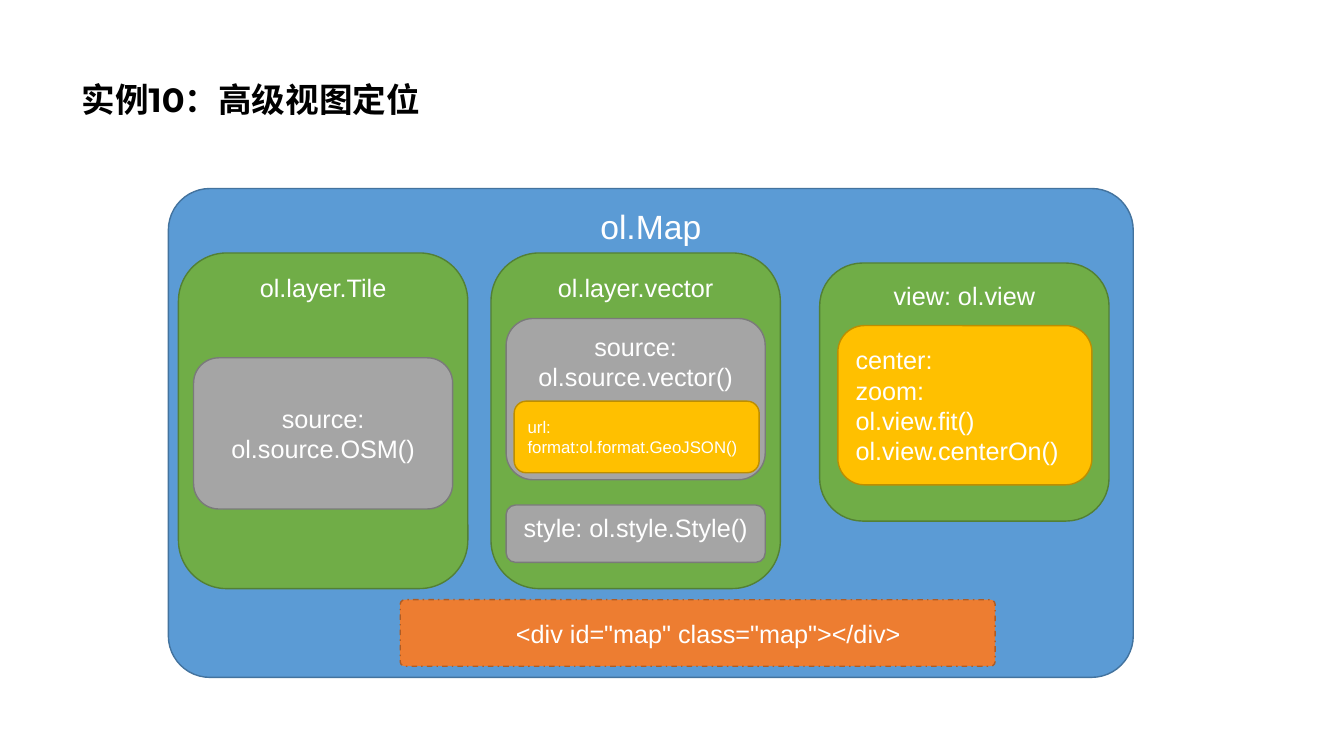
from pptx import Presentation
from pptx.dml.color import RGBColor
from pptx.enum.dml import MSO_LINE
from pptx.enum.shapes import MSO_SHAPE
from pptx.enum.text import MSO_ANCHOR, PP_ALIGN
from pptx.util import Inches, Pt

COLORS = {
    "blue": ("5B9BD5", "43739E"),
    "green": ("70AD47", "538035"),
    "gray": ("A5A5A5", "7A7A7A"),
    "gold": ("FFC000", "BD8E00"),
    "orange": ("ED7D31", "AF5C24"),
    "text": "FFFFFF",
    "title": "000000",
}


def add_run(paragraph, text, size, font, color, bold=False):
    run = paragraph.add_run()
    run.text = text
    run.font.size = Pt(size)
    run.font.name = font
    run.font.bold = bold
    run.font.color.rgb = RGBColor.from_string(color)


def inside(box, left, top, width, height):
    return box[0] + left, box[1] + top, width, height


def add_panel(slide, box, color, lines, size=18, align=PP_ALIGN.CENTER,
              anchor=MSO_ANCHOR.TOP, rounding=None):
    shape = slide.shapes.add_shape(MSO_SHAPE.ROUNDED_RECTANGLE, *map(Inches, box))
    fill, line = COLORS[color]
    shape.shadow.inherit = False
    shape.fill.solid()
    shape.fill.fore_color.rgb = RGBColor.from_string(fill)
    shape.line.color.rgb = RGBColor.from_string(line)
    shape.line.width = Pt(1)
    if rounding is not None:
        shape.adjustments[0] = rounding
    frame = shape.text_frame
    frame.word_wrap = True
    frame.vertical_anchor = anchor
    for index, text in enumerate(lines):
        paragraph = frame.add_paragraph() if index else frame.paragraphs[0]
        paragraph.alignment = align
        add_run(paragraph, text, size, "Arial", COLORS["text"])
    return shape


def add_title(slide, box):
    frame = slide.shapes.add_textbox(*map(Inches, box)).text_frame
    frame.word_wrap = True
    frame.vertical_anchor = MSO_ANCHOR.MIDDLE
    paragraph = frame.paragraphs[0]
    paragraph.line_spacing = 0.9
    add_run(paragraph, "实例10：高级视图定位", 24, "Montserrat", COLORS["title"], True)


def add_tile_layer(slide, box):
    add_panel(slide, box, "green", ["ol.layer.Tile"])
    add_panel(slide, inside(box, 0.15, 1.04, 2.57, 1.5), "gray",
              ["source: ol.source.OSM()"], anchor=MSO_ANCHOR.MIDDLE)


def add_vector_layer(slide, box):
    add_panel(slide, box, "green", ["ol.layer.vector"])
    source = inside(box, 0.15, 0.65, 2.57, 1.6)
    add_panel(slide, source, "gray", ["source: ol.source.vector()"])
    add_panel(slide, inside(source, 0.08, 0.82, 2.43, 0.71), "gold",
              ["url:", "format:ol.format.GeoJSON()"], 12,
              PP_ALIGN.LEFT, MSO_ANCHOR.MIDDLE)
    add_panel(slide, inside(box, 0.15, 2.5, 2.57, 0.57), "gray",
              ["style: ol.style.Style()"])


def add_view(slide, box):
    add_panel(slide, box, "green", ["view: ol.view"])
    add_panel(slide, inside(box, 0.18, 0.62, 2.52, 1.58), "gold",
              ["center:", "zoom:", "ol.view.fit()", "ol.view.centerOn()"],
              align=PP_ALIGN.LEFT, anchor=MSO_ANCHOR.MIDDLE)


def add_map_element(slide, box):
    shape = add_panel(slide, box, "orange", ['<div id="map" class="map"></div>'],
                      anchor=MSO_ANCHOR.MIDDLE, rounding=0.069)
    shape.line.dash_style = MSO_LINE.DASH_DOT
    shape.text_frame.margin_left = Inches(0.31)


def add_map(slide, box):
    add_panel(slide, box, "blue", ["ol.Map"], 24, rounding=0.085)
    add_tile_layer(slide, inside(box, 0.1, 0.64, 2.87, 3.33))
    add_vector_layer(slide, inside(box, 3.2, 0.64, 2.87, 3.33))
    add_view(slide, inside(box, 6.46, 0.74, 2.87, 2.56))
    add_map_element(slide, inside(box, 2.3, 4.08, 5.9, 0.66))


def main():
    presentation = Presentation()
    presentation.slide_width = Inches(13.33)
    presentation.slide_height = Inches(7.5)
    slide = presentation.slides.add_slide(presentation.slide_layouts[6])
    add_title(slide, (0.71, 0.28, 11.5, 1.45))
    add_map(slide, (1.67, 1.87, 9.57, 4.85))
    presentation.save("out.pptx")


if __name__ == "__main__":
    main()
